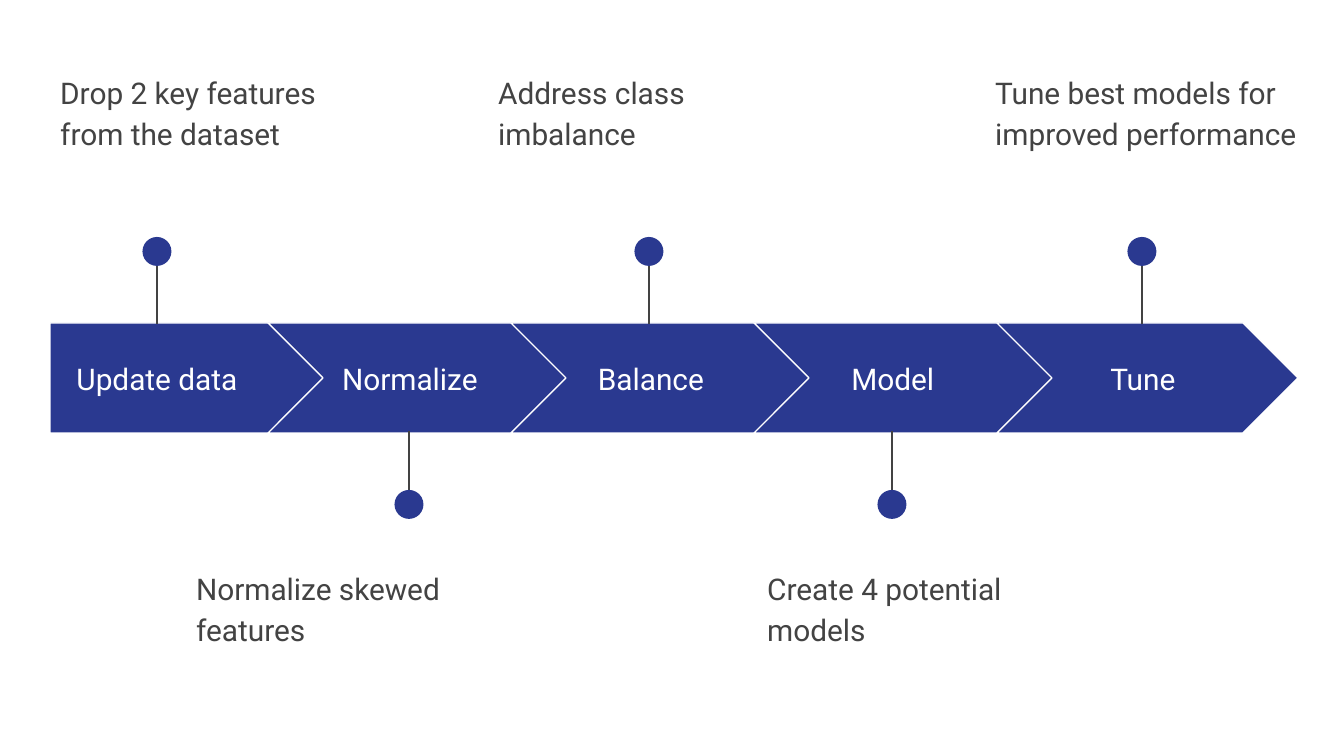
import pptx
import pptx.util
import pptx.dml.color
import pptx.enum.shapes
import pptx.enum.text
import pptx.oxml.ns
import lxml.etree

RGB = pptx.dml.color.RGBColor
SHAPE = pptx.enum.shapes.MSO_SHAPE
ALIGN = pptx.enum.text.PP_ALIGN
ANCHOR = pptx.enum.text.MSO_ANCHOR

NAVY = RGB(0x2A, 0x39, 0x90)
GRAY = RGB(0x43, 0x43, 0x43)
WHITE = RGB(0xFF, 0xFF, 0xFF)

# Content: step, note, then label left, pin centre and note left in px
STEPS = [
    ("Update data", "Drop 2 key features from the dataset", 50, 157, 47),
    ("Normalize", "Normalize skewed features", 313, 409, 183),
    ("Balance", "Address class imbalance", 554, 649, 485),
    ("Model", "Create 4 potential models", 796, 892, 754),
    ("Tune", "Tune best models for improved performance", 1046, 1142, 982),
]

# Layout in px
SLIDE_W, SLIDE_H = 1344, 756
BAND_TOP, BAND_H = 323, 110
FIRST_LEFT, FIRST_W = 50, 275
CHEVRON_LEFT, CHEVRON_W, PITCH = 268, 301, 243
LABEL_TOP, LABEL_H, FIRST_LABEL_W, LABEL_W = 344, 69, 214, 194
NOTE_W, NOTE_H, DOT = 330, 133, 29
ABOVE = {"pin": (242, 324), "dot": 237, "note": 56}
BELOW = {"pin": (513, 431), "dot": 490, "note": 552}

LABEL_FORMAT = {"alignment": ALIGN.CENTER}
NOTE_FORMAT = {"line_spacing": 1.15, "space_after": pptx.util.Pt(16)}


def px(*values):
    return [round(v * 914400 / 134.4) for v in values]


def add_shape(shapes, kind, box, outline=None):
    shape = shapes.add_shape(kind, *px(*box))
    shape.shadow.inherit = False
    shape.fill.solid()
    shape.fill.fore_color.rgb = NAVY
    if outline is None:
        shape.line.fill.background()
    else:
        shape.line.color.rgb = outline
        shape.line.width = pptx.util.Pt(0.75)
    return shape


def add_text(text, box, color, anchor, formats):
    tf = s.shapes.add_textbox(*px(*box)).text_frame
    tf.word_wrap = True
    tf.vertical_anchor = anchor
    for side in ("left", "top", "right", "bottom"):
        setattr(tf, f"margin_{side}", pptx.util.Inches(0.1))
    p = tf.paragraphs[0]
    for name, value in formats.items():
        setattr(p, name, value)
    r = p.add_run()
    r.text = text
    r.font.color.rgb = color
    for name, value in {"name": "Roboto", "size": pptx.util.Pt(16)}.items():
        setattr(r.font, name, value)


def add_pin(x, side):
    shapes = s.shapes.add_group_shape().shapes
    start, end = side["pin"]
    line = shapes.add_connector(pptx.enum.shapes.MSO_CONNECTOR.STRAIGHT,
                                *px(x, start, x, end))
    line.line.color.rgb = GRAY
    line.line.width = pptx.util.Pt(0.75)
    lxml.etree.SubElement(line._element.spPr, pptx.oxml.ns.qn("a:effectLst"))
    add_shape(shapes, SHAPE.OVAL, (x - DOT / 2, side["dot"], DOT, DOT))


prs = pptx.Presentation()
prs.slide_width, prs.slide_height = px(SLIDE_W, SLIDE_H)
s = prs.slides.add_slide(prs.slide_layouts[6])

for i, (label, note, label_left, pin_x, note_left) in enumerate(STEPS):
    side = BELOW if i % 2 else ABOVE

    # Arrow band
    if i == 0:
        kind, left, width, label_w = SHAPE.PENTAGON, FIRST_LEFT, FIRST_W, FIRST_LABEL_W
    else:
        kind, width, label_w = SHAPE.CHEVRON, CHEVRON_W, LABEL_W
        left = CHEVRON_LEFT + PITCH * (i - 1)
    arrow = add_shape(s.shapes, kind, (left, BAND_TOP, width, BAND_H), WHITE)
    arrow.adjustments[0] = 0.5
    add_text(label, (label_left, LABEL_TOP, label_w, LABEL_H), WHITE,
             ANCHOR.MIDDLE, LABEL_FORMAT)

    # Pin and note, alternating above and below the band
    add_pin(pin_x, side)
    add_text(note, (note_left, side["note"], NOTE_W, NOTE_H), GRAY,
             ANCHOR.TOP, NOTE_FORMAT)

prs.save("out.pptx")
